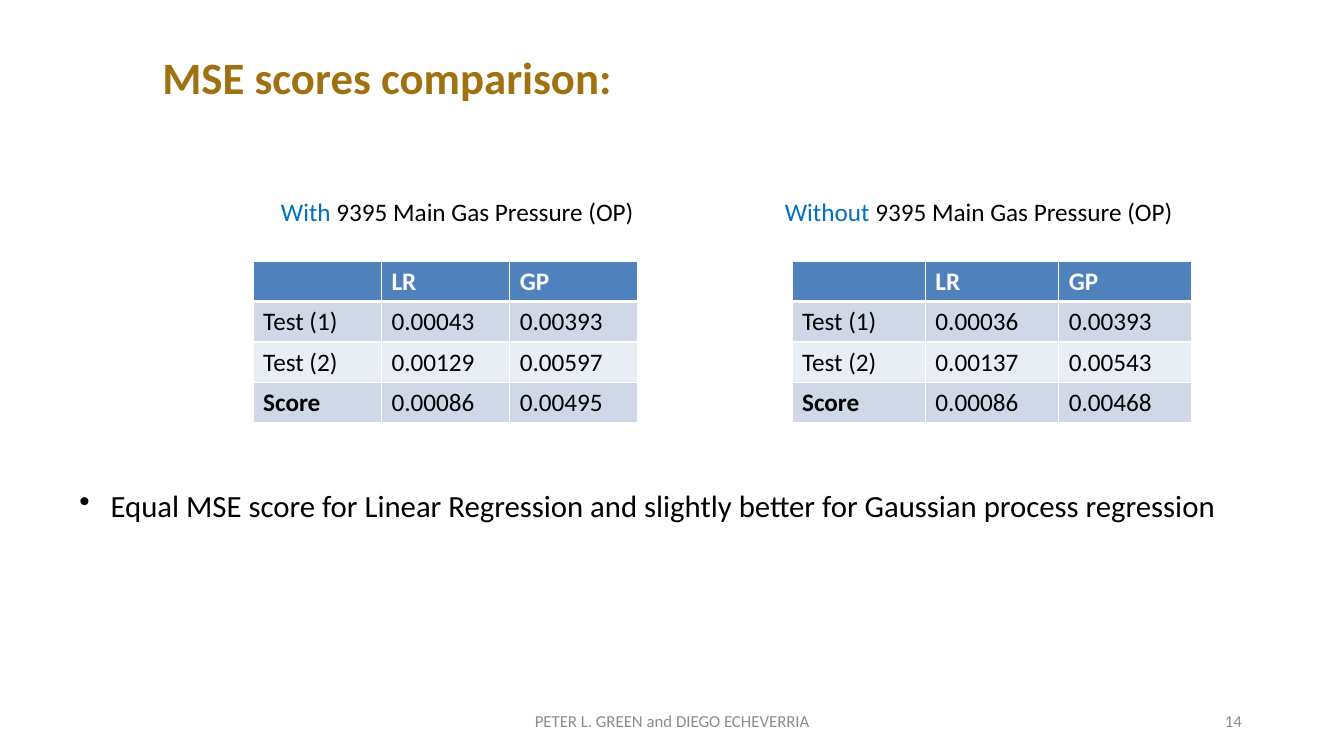
import pptx
import pptx.dml.color
import pptx.enum.text
import pptx.oxml
import pptx.oxml.ns
import pptx.util
import lxml.etree

Cm, Pt = pptx.util.Cm, pptx.util.Pt
ALIGN = pptx.enum.text.PP_ALIGN
ANCHOR = pptx.enum.text.MSO_ANCHOR

# Content
TITLE = "MSE scores comparison:"
FINDING = "Equal MSE score for Linear Regression and slightly better for Gaussian process regression"
FOOTER = "PETER L. GREEN and DIEGO ECHEVERRIA"
PAGE_NUMBER = "14"
VARIABLE = "9395 Main Gas Pressure (OP)"
HEADER = ("", "LR", "GP")
COMPARISONS = [
    {"word": "With ", "caption_left": 6.83, "left": 6.38, "width": 9.7,
     "rows": [("Test (1)", "0.00043", "0.00393"),
              ("Test (2)", "0.00129", "0.00597"),
              ("Score", "0.00086", "0.00495")]},
    {"word": "Without ", "caption_left": 19.53, "left": 19.96, "width": 10.08,
     "rows": [("Test (1)", "0.00036", "0.00393"),
              ("Test (2)", "0.00137", "0.00543"),
              ("Score", "0.00086", "0.00468")]},
]
COLOURS = {"title": "A07111", "accent": "0070C0", "text": "000000", "footer": "8C8C8C",
           "header": "4F81BD", "odd": "D0D8E8", "even": "E9EDF4", "white": "FFFFFF"}
FONT = "Calibri"
TABLE_TOP, ROW_HEIGHT = 6.58, 1.02


def add_span(para, text, size, colour, bold=False):
    span = para.add_run()
    span.text = text
    span.font.name, span.font.size, span.font.bold = FONT, Pt(size), bold
    span.font.color.rgb = pptx.dml.color.RGBColor.from_string(COLOURS[colour])


def add_text(page, place, spans, align=ALIGN.LEFT, anchor=ANCHOR.TOP):
    box = page.shapes.add_textbox(*(Cm(length) for length in place))
    box.text_frame.word_wrap = True
    box.text_frame.vertical_anchor = anchor
    para = box.text_frame.paragraphs[0]
    para.alignment = align
    for span in spans:
        add_span(para, *span)
    return para


def add_bullet(para, indent):
    properties = para._p.get_or_add_pPr()
    properties.set("marL", str(Cm(indent)))
    properties.set("indent", str(-Cm(indent)))
    bullet = lxml.etree.SubElement(properties, pptx.oxml.ns.qn("a:buChar"))
    bullet.set("char", "•")


def add_borders(cell, widths):
    properties = cell._tc.get_or_add_tcPr()
    for side, width in zip(("lnL", "lnR", "lnT", "lnB"), widths):
        properties.append(pptx.oxml.parse_xml(
            f'<a:{side} {pptx.oxml.ns.nsdecls("a")} w="{Pt(width)}"><a:solidFill>'
            f'<a:srgbClr val="{COLOURS["white"]}"/></a:solidFill></a:{side}>'))


def add_scores(page, left, width, rows):
    frame = page.shapes.add_table(len(rows), len(HEADER), Cm(left), Cm(TABLE_TOP),
                                  Cm(width), Cm(ROW_HEIGHT * len(rows)))
    table = frame.table
    for i, row in enumerate(rows):
        table.rows[i].height = Cm(ROW_HEIGHT)
        fill = "header" if i == 0 else "odd" if i % 2 else "even"
        for j, text in enumerate(row):
            cell = table.cell(i, j)
            # The rule under the header is thicker than the others
            add_borders(cell, (1, 1, 3 if i == 1 else 1, 3 if i == 0 else 1))
            cell.fill.solid()
            cell.fill.fore_color.rgb = pptx.dml.color.RGBColor.from_string(COLOURS[fill])
            if text:
                add_span(cell.text_frame.paragraphs[0], text, 18,
                         "white" if i == 0 else "text", i == 0 or text == "Score")


def main():
    deck = pptx.Presentation()
    deck.slide_width, deck.slide_height = Cm(33.87), Cm(19.05)
    page = deck.slides.add_slide(deck.slide_layouts[6])

    # Title
    add_text(page, (3.84, 1.14, 24.54, 1.63), [(TITLE, 32, "title", True)])

    # Captions and score tables
    for part in COMPARISONS:
        add_text(page, (part["caption_left"], 4.83, 12, 1.03),
                 [(part["word"], 18, "accent"), (VARIABLE, 18, "text")])
        add_scores(page, part["left"], part["width"], [HEADER] + part["rows"])

    # Finding
    finding = add_text(page, (1.75, 12.15, 31.37, 1.2), [(FINDING, 22, "text")])
    add_bullet(finding, 0.79)

    # Footer
    add_text(page, (11.23, 17.65, 11.43, 1.02), [(FOOTER, 12, "footer")],
             ALIGN.CENTER, ANCHOR.MIDDLE)
    add_text(page, (23.93, 17.65, 7.62, 1.02), [(PAGE_NUMBER, 12, "footer")],
             ALIGN.RIGHT, ANCHOR.MIDDLE)

    deck.save("out.pptx")


if __name__ == "__main__":
    main()
